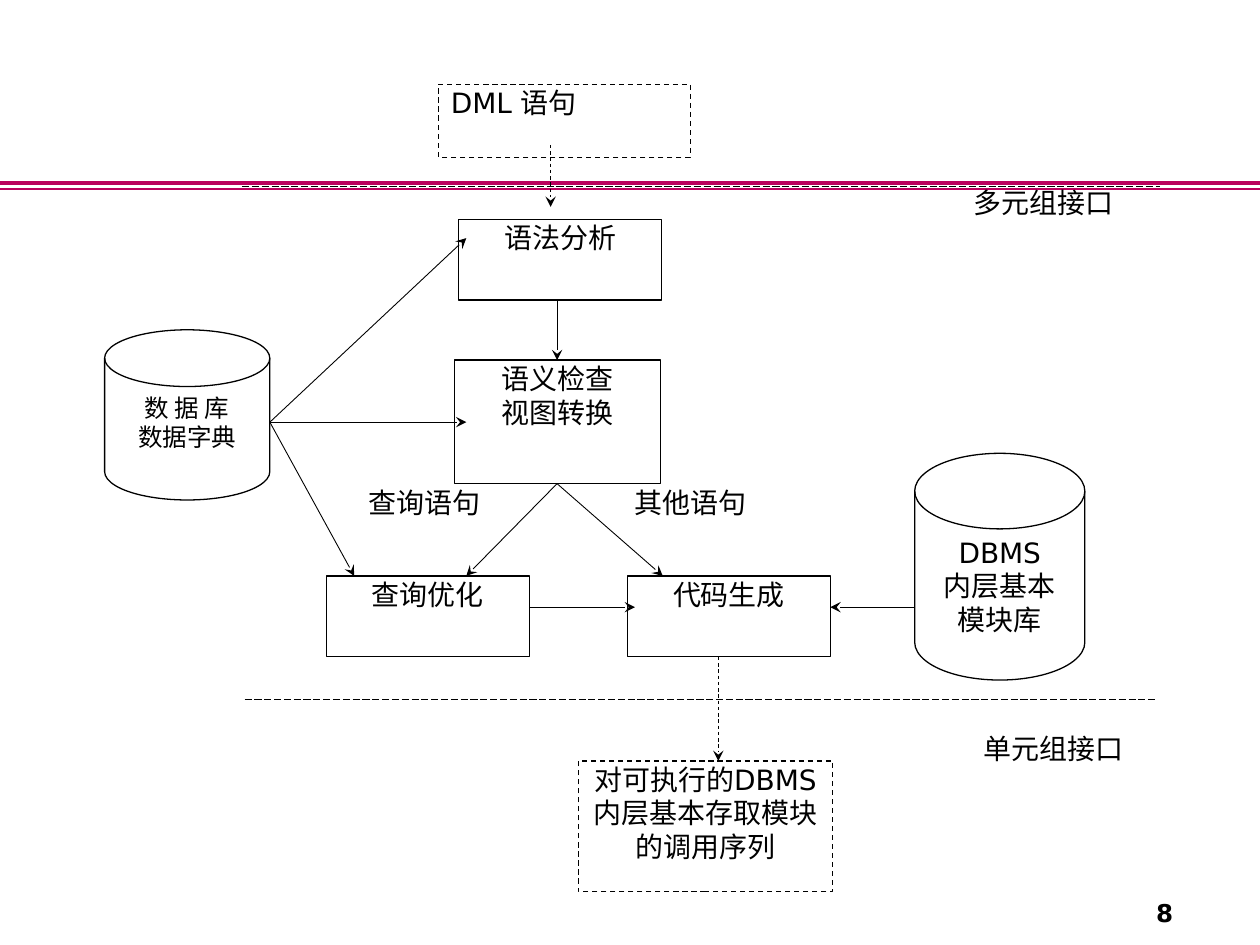
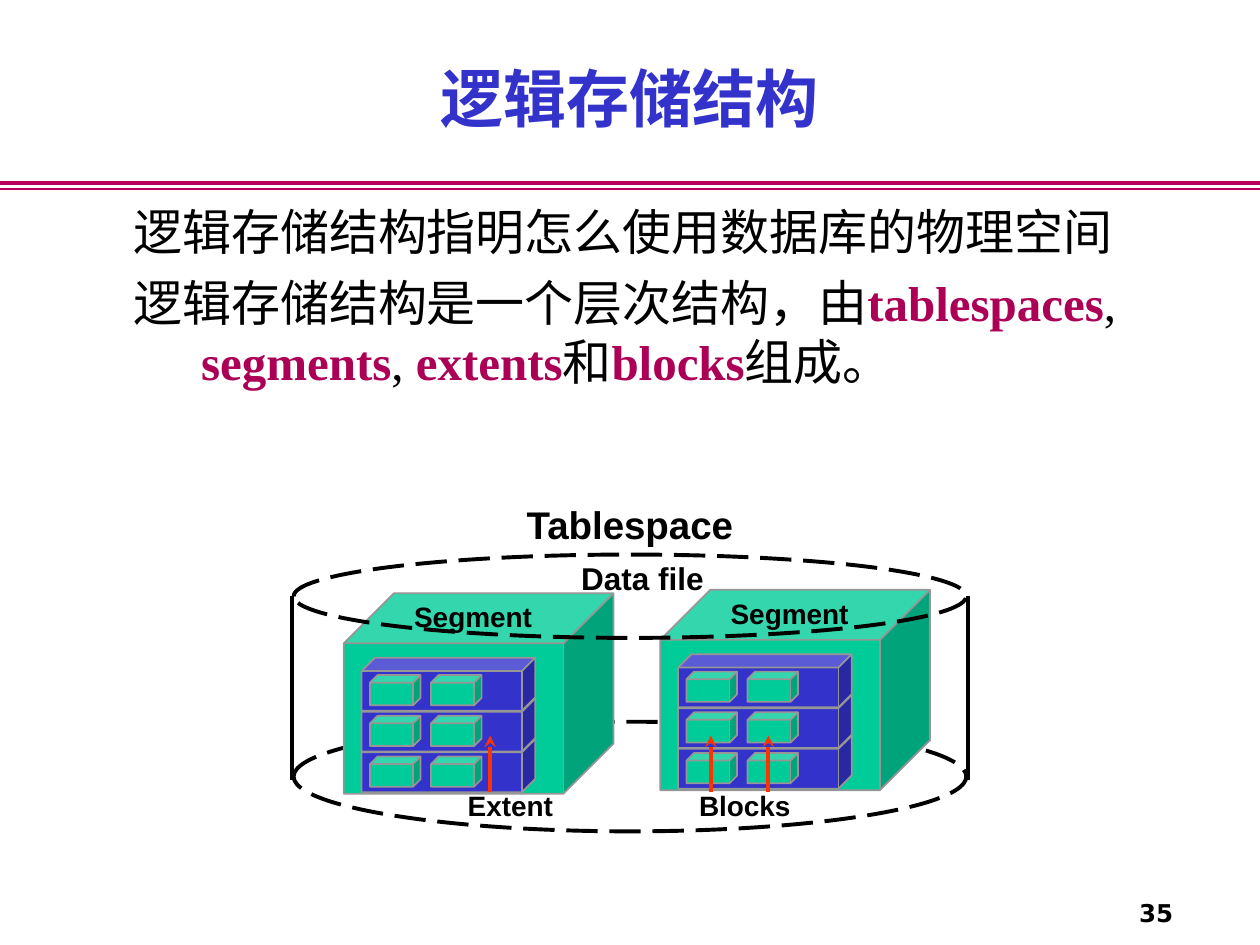
from lxml import etree
from pptx import Presentation
from pptx.dml.color import RGBColor
from pptx.enum.dml import MSO_LINE
from pptx.enum.shapes import MSO_CONNECTOR, MSO_SHAPE
from pptx.enum.text import MSO_ANCHOR, PP_ALIGN
from pptx.oxml.ns import qn
from pptx.util import Cm, Pt

BLACK = RGBColor(0x00, 0x00, 0x00)
WHITE = RGBColor(0xFF, 0xFF, 0xFF)
BLUE = RGBColor(0x33, 0x33, 0xCC)
GREEN = RGBColor(0x00, 0xCC, 0x99)
GREY = RGBColor(0x96, 0x96, 0x96)
RED = RGBColor(0xFF, 0x33, 0x00)
BAND = RGBColor(0xBA, 0x00, 0x5D)
KEYWORD = RGBColor(0xAC, 0x00, 0x56)

SANS, SERIF, LABEL = "DejaVu Sans", "Times New Roman", "Arial"
LEFT, CENTER, RIGHT = PP_ALIGN.LEFT, PP_ALIGN.CENTER, PP_ALIGN.RIGHT
JUSTIFY = PP_ALIGN.JUSTIFY
RECT, DISK = MSO_SHAPE.RECTANGLE, MSO_SHAPE.FLOWCHART_MAGNETIC_DISK
CUBE, OVAL = MSO_SHAPE.CUBE, MSO_SHAPE.OVAL
DASH, LONG_DASH = MSO_LINE.DASH, MSO_LINE.LONG_DASH


def add_box(page, kind, at, lines=(), size=16, font=SANS, color=BLACK, bold=False,
            align=CENTER, anchor=MSO_ANCHOR.TOP, inset=0.13,
            fill=None, line=None, width=0.75, dash=None):
    """Add a preset shape, or a text box when kind is None."""
    place = [Cm(value) for value in at]
    if kind is None:
        box = page.shapes.add_textbox(*place)
    else:
        box = page.shapes.add_shape(kind, *place)
        box.shadow.inherit = False
    if fill is None:
        box.fill.background()
    else:
        box.fill.solid()
        box.fill.fore_color.rgb = fill
    if line is None:
        box.line.fill.background()
    else:
        box.line.color.rgb = line
        box.line.width = Pt(width)
        box.line.dash_style = dash
    frame = box.text_frame
    frame.word_wrap = True
    frame.vertical_anchor = anchor
    frame.margin_left = frame.margin_right = Cm(0.25)
    frame.margin_top = frame.margin_bottom = Cm(inset)
    for index, text in enumerate(lines):
        para = frame.add_paragraph() if index else frame.paragraphs[0]
        para.add_run().text = text
        para.alignment = align
        para.font.size = Pt(size)
        para.font.name = font
        para.font.bold = bold
        para.font.color.rgb = color
    return box


def add_line(page, start, end, color=BLACK, width=0.5, dash=None, arrow=None):
    """Add a straight line; arrow is headEnd (at start) or tailEnd (at end)."""
    points = [Cm(value) for value in (*start, *end)]
    link = page.shapes.add_connector(MSO_CONNECTOR.STRAIGHT, *points)
    link.line.color.rgb = color
    link.line.width = Pt(width)
    link.line.dash_style = dash
    properties = link._element.spPr
    if arrow:
        etree.SubElement(properties.find(qn("a:ln")), qn(f"a:{arrow}"), type="stealth")
    etree.SubElement(properties, qn("a:effectLst"))


deck = Presentation()
deck.slide_width, deck.slide_height = Cm(25.4), Cm(19.05)

# Shared double band and page number
pages = []
for number in (8, 35):
    page = deck.slides.add_slide(deck.slide_layouts[6])
    for y, width in ((3.68, 2.25), (3.81, 1)):
        add_line(page, (0, y), (25.4, y), BAND, width)
    add_box(page, None, (22.43, 17.98, 1.47, 0.84), [str(number)], size=14,
            bold=True, align=RIGHT, anchor=MSO_ANCHOR.MIDDLE)
    pages.append(page)
flow_page, storage_page = pages

# Flow: branch labels and interface labels
for at, text, align, fill in (
    ((12.22, 9.75, 3.4, 1.63), "其他语句", CENTER, WHITE),
    ((6.58, 9.75, 3.96, 1.63), "查询语句", CENTER, WHITE),
    ((19.58, 14.71, 4.52, 1.57), "单元组接口", JUSTIFY, WHITE),
    ((19.38, 3.71, 4.75, 1.73), "多元组接口", JUSTIFY, None),
):
    add_box(flow_page, None, at, [text], align=align, inset=0.03, fill=fill)

# Flow: processing steps
for at, lines in (
    ((9.25, 4.42, 4.09, 1.63), ["语法分析"]),
    ((9.17, 7.26, 4.14, 2.49), ["语义检查", "视图转换"]),
    ((6.58, 11.61, 4.09, 1.63), ["查询优化"]),
    ((12.65, 11.61, 4.09, 1.63), ["代码生成"]),
):
    add_box(flow_page, RECT, at, lines, inset=0.03, fill=WHITE, line=BLACK)

# Flow: input and output
add_box(flow_page, RECT, (8.84, 1.7, 5.08, 1.47), ["DML 语句"], align=JUSTIFY,
        inset=0.03, line=BLACK, dash=DASH)
add_box(flow_page, RECT, (11.66, 15.34, 5.13, 2.64),
        ["对可执行的DBMS", "内层基本存取模块", "的调用序列"],
        inset=0.03, fill=WHITE, line=BLACK, dash=DASH)

# Flow: stores
add_box(flow_page, DISK, (2.11, 6.65, 3.33, 3.43), ["数 据 库", "数据字典"],
        size=14, fill=WHITE, line=BLACK)
add_box(flow_page, DISK, (18.44, 9.14, 3.43, 4.57), ["DBMS", "内层基本", "模块库"],
        fill=WHITE, line=BLACK)

# Flow: interface borders and arrows
add_line(flow_page, (4.88, 3.76), (23.39, 3.76), dash=LONG_DASH)
add_line(flow_page, (4.93, 14.1), (23.29, 14.1), dash=LONG_DASH)
dictionary, check = (5.44, 8.51), (11.23, 9.75)
for start, end, dash in (
    ((11.1, 2.92), (11.1, 4.17), DASH),
    ((14.48, 13.24), (14.48, 15.34), DASH),
    (dictionary, (9.4, 4.8), None),
    (dictionary, (9.4, 8.51), None),
    (dictionary, (7.14, 11.61), None),
    ((11.23, 6.05), (11.23, 7.26), None),
    (check, (9.4, 11.61), None),
    (check, (13.36, 11.61), None),
    ((10.67, 12.24), (12.8, 12.24), None),
    ((18.44, 12.24), (16.74, 12.24), None),
):
    add_line(flow_page, start, end, dash=dash, arrow="tailEnd")

# Storage: title and body
add_box(storage_page, None, (1.9, 0.38, 21.6, 3.18), ["逻辑存储结构"], size=36,
        font=SERIF, color=BLUE, bold=True, anchor=MSO_ANCHOR.MIDDLE)
body = add_box(storage_page, None, (2.44, 3.94, 20.52, 5.79),
               ["逻辑存储结构指明怎么使用数据库的物理空间", "逻辑存储结构是一个层次结构，由"],
               size=28, font=SERIF, align=LEFT)
for para in body.text_frame.paragraphs:
    indent = para._p.get_or_add_pPr()
    indent.set("marL", str(Cm(1.12)))
    indent.set("indent", str(-Cm(1.12)))
para.space_before = Pt(7)
for keyword, rest in (("tablespaces", ",  "), ("segments", ", "),
                      ("extents", "和"), ("blocks", "组成。")):
    span = para.add_run()
    span.text = keyword
    span.font.bold = True
    span.font.color.rgb = KEYWORD
    para.add_run().text = rest

# Storage: tablespace floor and captions
add_box(storage_page, None, (9.45, 9.96, 6.5, 1.19), ["Tablespace"], size=22,
        font=LABEL, bold=True)
add_box(storage_page, None, (10.97, 11.13, 3.96, 1.02), ["Data file"], size=18,
        font=LABEL, bold=True)
add_box(storage_page, OVAL, (5.92, 14.55, 13.56, 2.21), line=BLACK, width=2.25,
        dash=LONG_DASH)

# Storage: segments, each with three extents of two blocks
ROW_STEP, BLOCK_STEP = 0.82, 1.23
for x, y in ((6.93, 11.96), (13.31, 11.89)):
    cubes = [((x, y, 5.44, 4.04), GREEN)]
    cubes += [((x + 0.36, y + 1.3 + row * ROW_STEP, 3.5, 1.07), BLUE)
              for row in (2, 1, 0)]
    cubes += [((x + 0.53 + column * BLOCK_STEP, y + 1.65 + row * ROW_STEP, 1.02, 0.61),
               GREEN) for row in range(3) for column in range(2)]
    for at, fill in cubes:
        add_box(storage_page, CUBE, at, fill=fill, line=GREY, width=1)
    add_box(storage_page, None, (x + 1.17, y, 3.1, 0.94), ["Segment"], font=LABEL,
            bold=True, align=LEFT)

# Storage: extent and block pointers
add_box(storage_page, None, (8.69, 15.77, 3.2, 0.94), ["Extent"], font=LABEL, bold=True)
add_box(storage_page, None, (13.54, 15.77, 2.95, 0.94), ["Blocks"], font=LABEL, bold=True)
for x in (9.88, 14.33, 15.49):
    add_line(storage_page, (x, 14.83), (x, 15.96), RED, 2.25, arrow="headEnd")

# Storage: tablespace walls and rim
for x in (5.89, 19.51):
    add_line(storage_page, (x, 12.01), (x, 15.72), width=2.25)
add_box(storage_page, OVAL, (5.92, 11.18, 13.56, 1.68), line=BLACK, width=2.25,
        dash=LONG_DASH)

deck.save("out.pptx")
